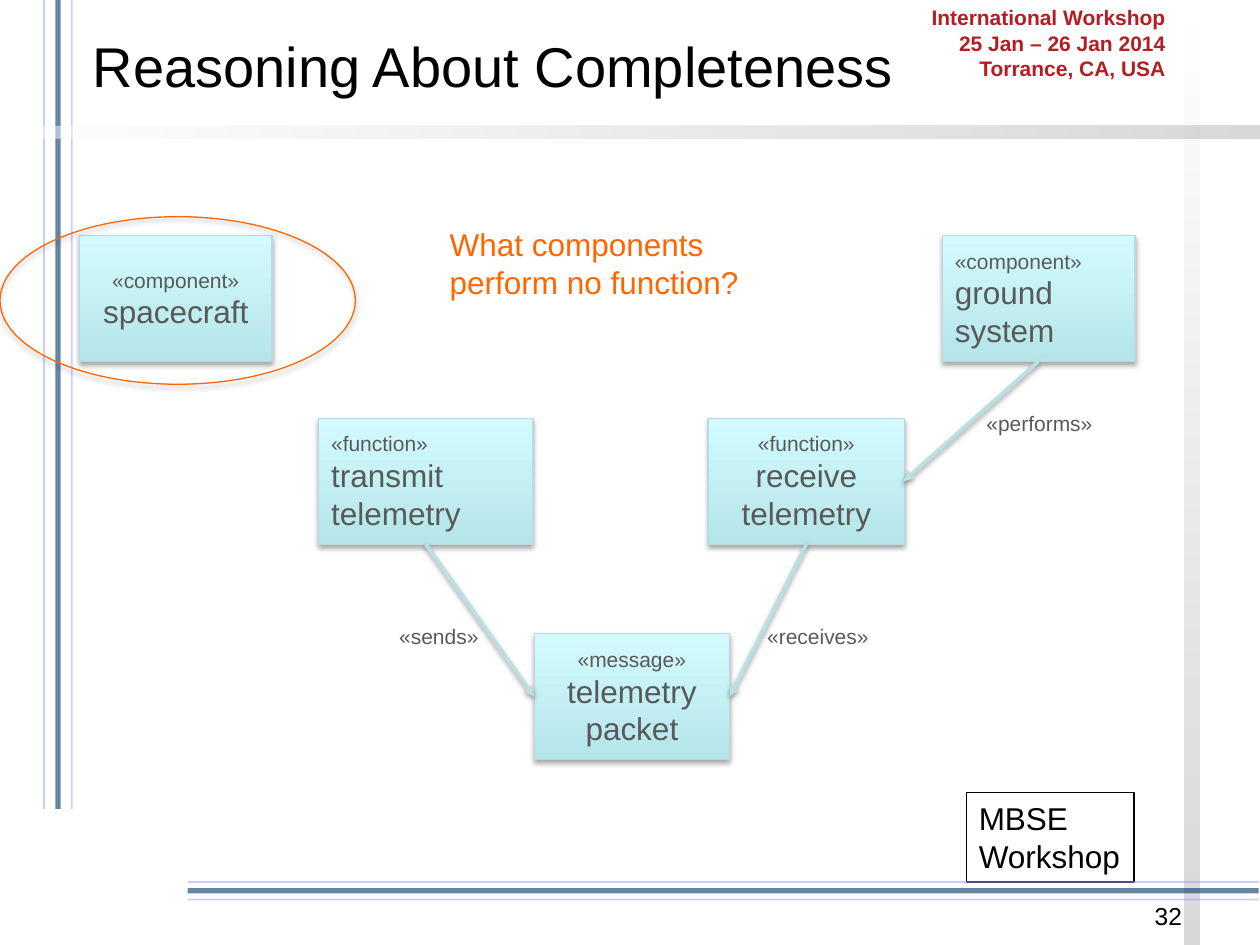
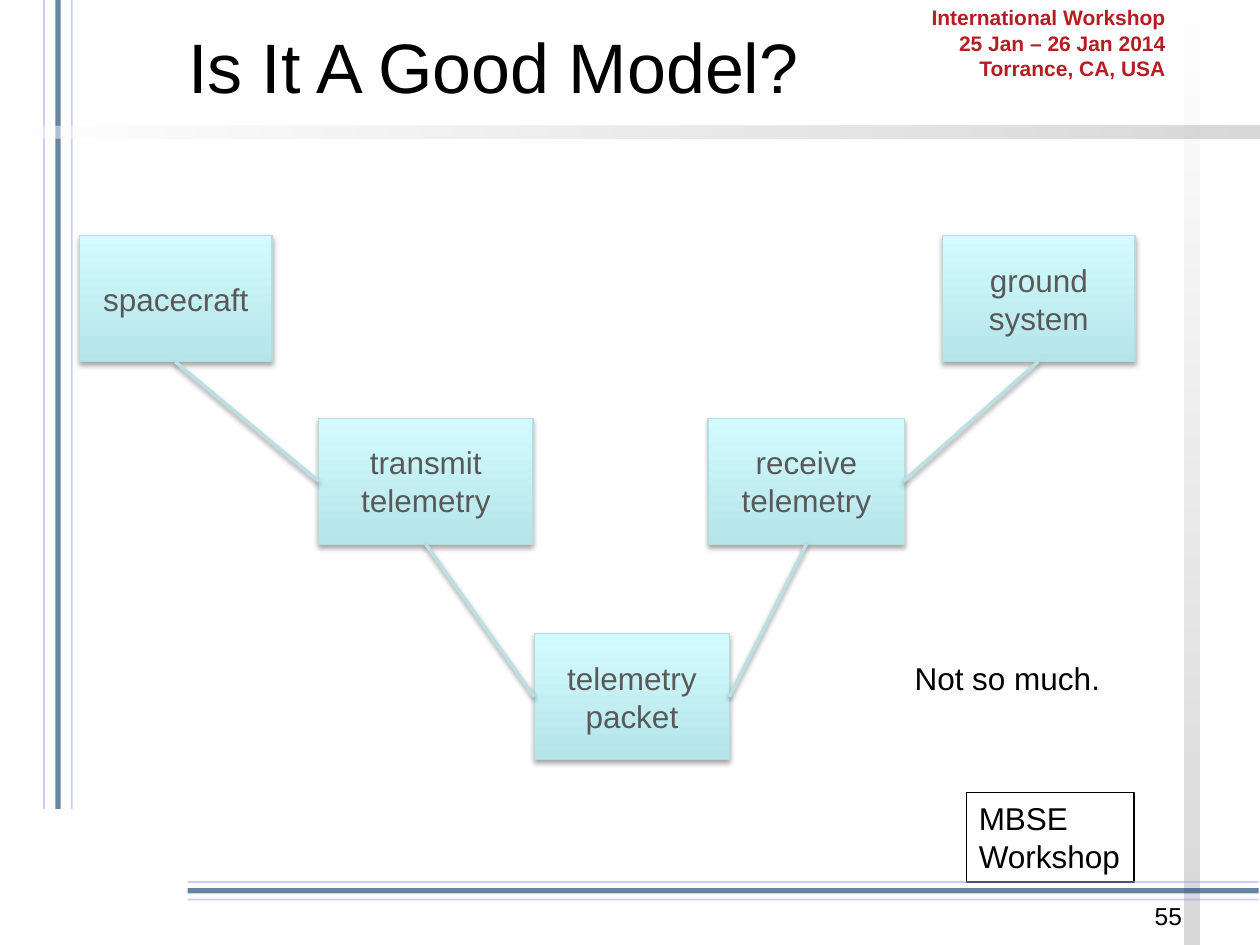
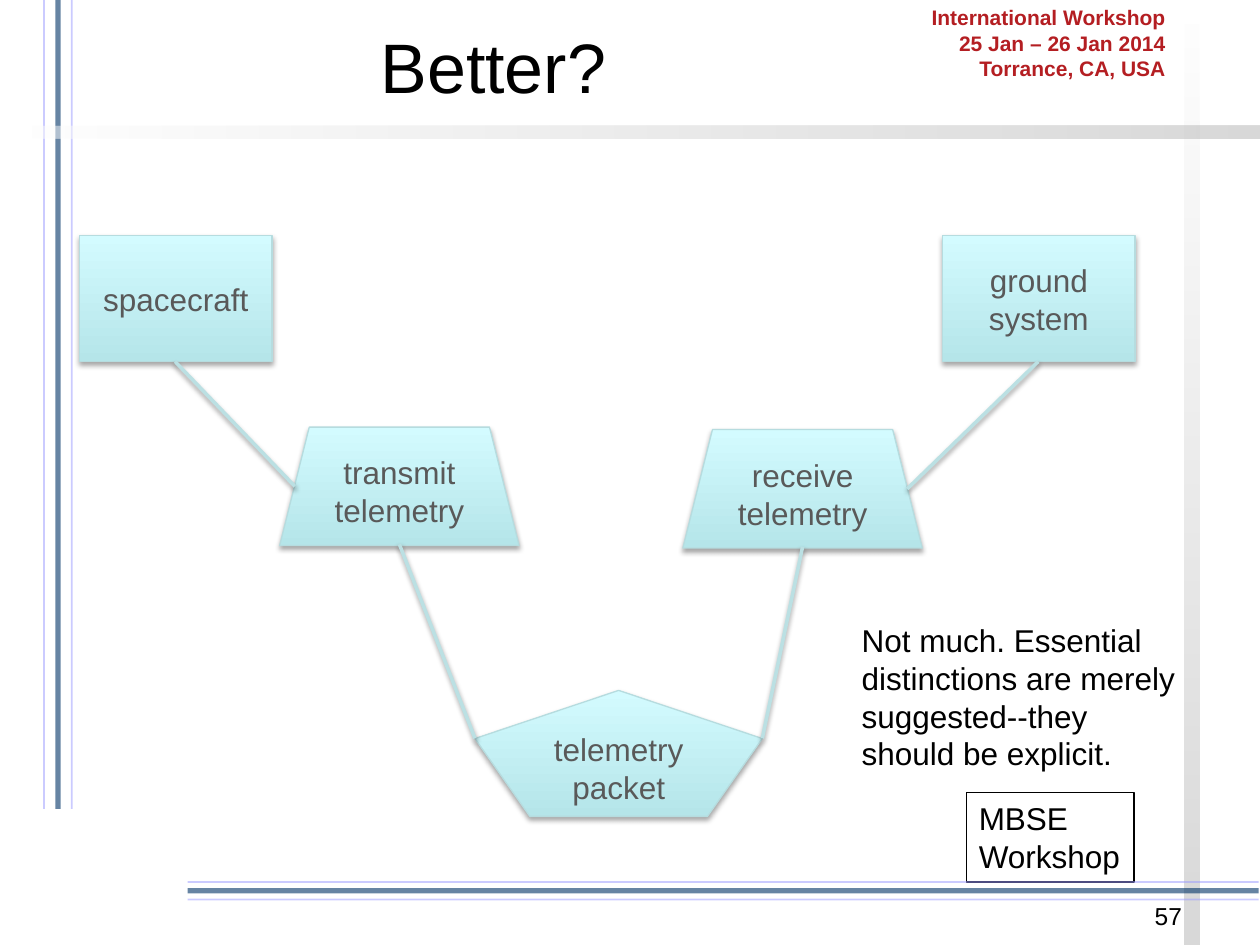
from lxml import etree
from pptx import Presentation
from pptx.dml.color import RGBColor
from pptx.enum import shapes, text
from pptx.oxml.ns import qn
from pptx.util import Inches, Pt

BLACK, GREY, RED, ORANGE = "000000", "595959", "B41E22", "FF6600"
BOX_FILL, BOX_LINE, LINK = ("B5E5E9", "D3FBFF"), "B6DCDF", "BBE0E3"
BAND_FILL, RULE, RULE_THICK = ("FFFFFF", "B2B2B2"), "9999FF", "003366"
BOX_SHADOW, LINK_SHADOW = (35, 1.8), (38, 1.6)  # opacity %, distance pt
LEFT, CENTER, RIGHT = text.PP_ALIGN.LEFT, text.PP_ALIGN.CENTER, text.PP_ALIGN.RIGHT
RECT, TRAPEZOID = shapes.MSO_SHAPE.RECTANGLE, shapes.MSO_SHAPE.TRAPEZOID
PENTAGON, OVAL = shapes.MSO_SHAPE.REGULAR_PENTAGON, shapes.MSO_SHAPE.OVAL


def paint(sp, line=None, width=0.75, gradient=None, angle=0, alpha=None, shadow=None):
    """Set gradient (or no) fill, outline, opacity in percent and shadow."""
    if hasattr(sp, "fill"):
        if gradient:
            sp.fill.gradient()
            sp.fill.gradient_angle = angle
            for stop, color in zip(sp.fill.gradient_stops, gradient):
                stop.color.rgb = RGBColor.from_string(color)
        else:
            sp.fill.background()
    if line:
        sp.line.color.rgb = RGBColor.from_string(line)
        sp.line.width = Pt(width)
    else:
        sp.line.fill.background()
    spPr = sp.element.spPr
    if alpha:
        for clr in spPr.iter(qn("a:srgbClr")):
            etree.SubElement(clr, qn("a:alpha"), val=str(alpha * 1000))
    effects = spPr.get_or_add_effectLst()
    if shadow:
        opacity, dist = shadow
        outer = etree.SubElement(effects, qn("a:outerShdw"), blurRad=str(Pt(3.1)),
                                 dist=str(Pt(dist)), dir="5400000", rotWithShape="0")
        clr = etree.SubElement(outer, qn("a:srgbClr"), val=BLACK)
        etree.SubElement(clr, qn("a:alpha"), val=str(opacity * 1000))


def write(sp, words, color=BLACK, size=18, align=LEFT, bold=None, wrap=True):
    """Fill a shape with text; «stereotypes» are always 12 pt."""
    tf = sp.text_frame
    tf.text = words
    tf.word_wrap = wrap
    if not wrap:
        tf.auto_size = text.MSO_AUTO_SIZE.SHAPE_TO_FIT_TEXT
    for p in tf.paragraphs:
        p.alignment = align
        for r in p.runs:
            r.font.name = "Arial"
            r.font.size = Pt(12 if r.text.startswith("«") else size)
            r.font.bold = bold
            r.font.color.rgb = RGBColor.from_string(color)
        for br in p._p.iter(qn("a:br")):
            etree.SubElement(br, qn("a:rPr"), sz=str(p.runs[0].font.size.pt * 100).split(".")[0])


spacecraft = (0.63, 1.87, 1.53, 1, RECT)
ground = (7.48, 1.87, 1.53, 1, RECT)
transmit = (2.53, 3.32, 1.7, 1, RECT)
receive = (5.62, 3.32, 1.56, 1, RECT)
packet = (4.24, 5.03, 1.55, 1, RECT)
performs = (8.24, 2.87, 7.17, 3.82)
sends = (3.38, 4.32, 4.24, 5.53)
receives = (6.4, 4.32, 5.79, 5.53)

slides = [
    dict(title="Reasoning About Completeness", title_size=32, number="32", arrows=True,
         boxes=[(spacecraft, "«component»\vspacecraft", CENTER),
                (transmit, "«function»\vtransmit telemetry", LEFT),
                (receive, "«function»\vreceive telemetry", CENTER),
                (packet, "«message»\vtelemetry packet", CENTER),
                (ground, "«component»\vground system", LEFT)],
         links=[performs, sends, receives],
         notes=[(7.73, 3.21, 1.05, 0.3, "«performs»", GREY, False),
                (3.07, 4.9, 0.84, 0.3, "«sends»", GREY, False),
                (5.99, 4.9, 1.02, 0.3, "«receives»", GREY, False),
                (3.47, 1.74, 3.11, 0.71, "What components perform no function?", ORANGE, True)],
         highlight=(0, 1.72, 2.82, 1.33)),
    dict(title="Is It A Good Model?", title_size=40, number="55", arrows=False,
         boxes=[(spacecraft, "spacecraft", CENTER),
                (transmit, "transmit telemetry", CENTER),
                (receive, "receive telemetry", CENTER),
                (packet, "telemetry packet", CENTER),
                (ground, "ground system", CENTER)],
         links=[(1.39, 2.87, 2.53, 3.82), sends, receives, performs],
         notes=[(7.16, 5.18, 1.69, 0.4, "Not so much.", BLACK, False)],
         highlight=None),
    dict(title="Better?", title_size=40, number="57", arrows=False,
         boxes=[(spacecraft, "spacecraft", CENTER),
                (ground, "ground system", CENTER),
                ((2.22, 3.39, 1.9, 0.94, TRAPEZOID), "transmit telemetry", CENTER),
                ((5.42, 3.41, 1.9, 0.94, TRAPEZOID), "receive telemetry", CENTER),
                ((3.77, 5.48, 2.28, 1, PENTAGON), "telemetry packet", CENTER)],
         links=[(1.39, 2.87, 2.34, 3.86), (3.17, 4.32, 3.77, 5.86),
                (6.37, 4.34, 6.05, 5.86), (8.24, 2.87, 7.2, 3.88)],
         notes=[(6.74, 4.88, 2.73, 1.31, "Not much. Essential distinctions are merely "
                 "suggested--they should be explicit.", BLACK, True)],
         highlight=None),
]

prs = Presentation()
prs.slide_width, prs.slide_height = Inches(10), Inches(7.5)

for data in slides:
    s = prs.slides.add_slide(prs.slide_layouts[6])

    # Frame: workshop border, grey bands and the two triple rules
    badge = [Inches(v) for v in (7.67, 6.29, 1.33, 0.71)]
    paint(s.shapes.add_shape(RECT, *badge), BLACK)
    side_band = s.shapes.add_shape(RECT, Inches(5.71), Inches(3.69), Inches(7.5), Inches(0.12))
    side_band.rotation = 90
    paint(side_band, gradient=BAND_FILL, alpha=50)
    for offset, color, width, alpha in ((-1, RULE, 1, 50), (1, RULE, 1, 50), (0, RULE_THICK, 3, 60)):
        x, y = 0.46 + offset * 0.11, 7.07 + offset * 0.07
        for ends in ((x, 0, x, 6.42), (9.99, y, 1.49, y)):
            rule = s.shapes.add_connector(shapes.MSO_CONNECTOR.STRAIGHT, *[Inches(v) for v in ends])
            paint(rule, color, width, alpha=alpha)
    title_band = s.shapes.add_shape(RECT, 0, Inches(1), Inches(10.01), Inches(0.1))
    paint(title_band, gradient=BAND_FILL, alpha=50)

    # Shared texts
    event = s.shapes.add_textbox(Inches(7.23), Inches(-0.01), Inches(2.12), Inches(0.71))
    write(event, "International Workshop\n25 Jan – 26 Jan 2014\nTorrance, CA, USA",
          RED, 12, RIGHT, bold=True, wrap=False)
    write(s.shapes.add_textbox(*badge), "MBSE \vWorkshop", wrap=False)
    title = s.shapes.add_textbox(Inches(0.5), 0, Inches(6.83), Inches(1.04))
    write(title, data["title"], size=data["title_size"], align=CENTER)
    title.text_frame.vertical_anchor = text.MSO_ANCHOR.MIDDLE

    # Model diagram
    for (x, y, w, h, preset), words, align in data["boxes"]:
        box = s.shapes.add_shape(preset, Inches(x), Inches(y), Inches(w), Inches(h))
        paint(box, BOX_LINE, gradient=BOX_FILL, angle=90, shadow=BOX_SHADOW)
        write(box, words, GREY, align=align)
    for ends in data["links"]:
        link = s.shapes.add_connector(shapes.MSO_CONNECTOR.STRAIGHT, *[Inches(v) for v in ends])
        paint(link, LINK, 2, shadow=LINK_SHADOW)
        if data["arrows"]:
            etree.SubElement(link.element.spPr.find(qn("a:ln")), qn("a:tailEnd"), type="triangle")
    for x, y, w, h, words, color, wrap in data["notes"]:
        note = s.shapes.add_textbox(Inches(x), Inches(y), Inches(w), Inches(h))
        write(note, words, color, wrap=wrap)
    if data["highlight"]:
        ring = s.shapes.add_shape(OVAL, *[Inches(v) for v in data["highlight"]])
        paint(ring, ORANGE, shadow=BOX_SHADOW)

    number = s.shapes.add_textbox(Inches(7.15), Inches(7.1), Inches(2.33), Inches(0.4))
    write(number, data["number"], size=14, align=RIGHT)

prs.save("out.pptx")
